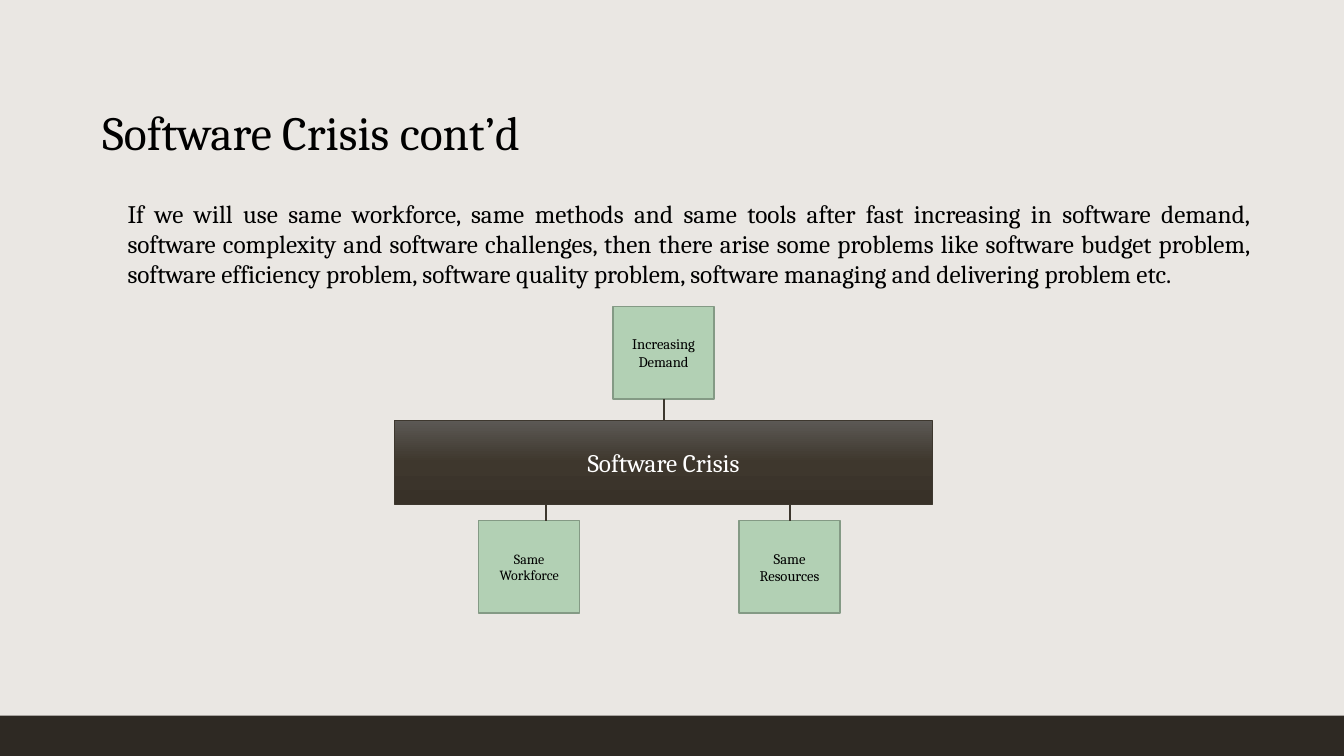
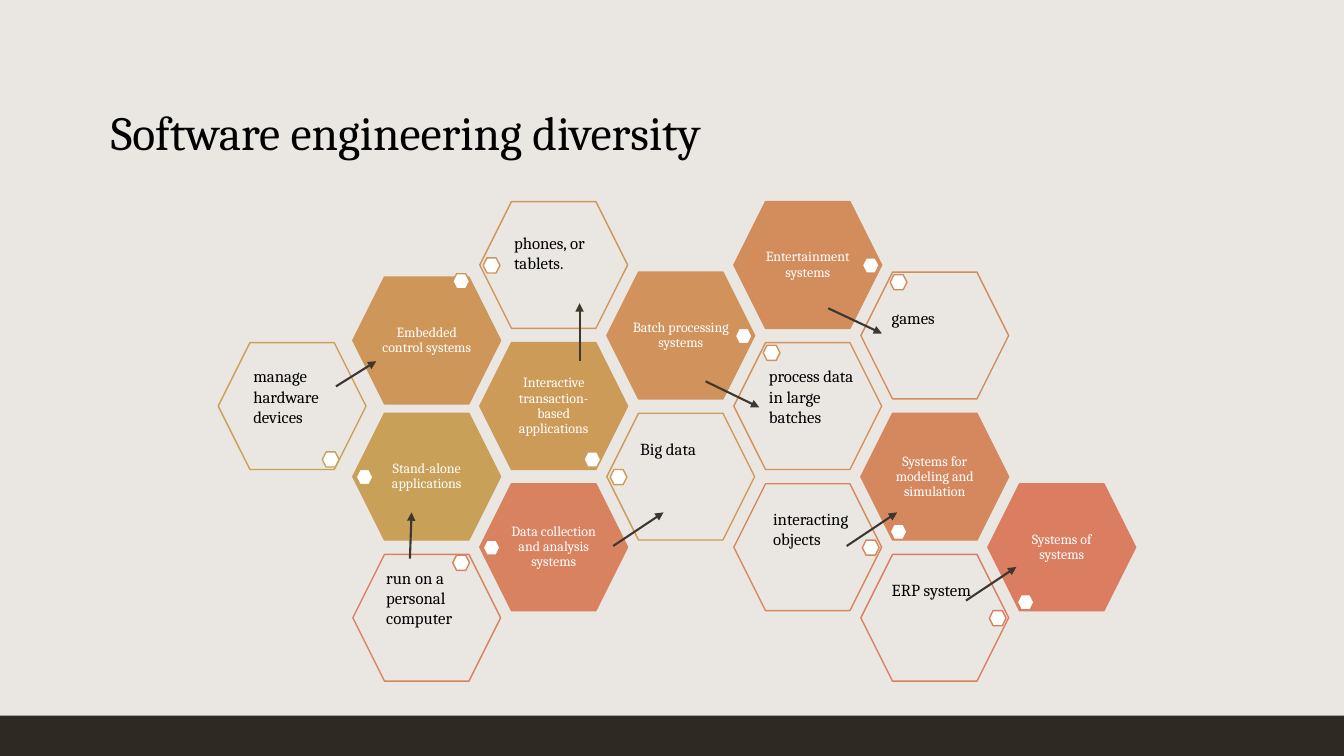
from copy import deepcopy

from pptx import Presentation
from pptx.dml.color import RGBColor
from pptx.enum.shapes import MSO_CONNECTOR, MSO_SHAPE
from pptx.enum.text import MSO_ANCHOR, MSO_AUTO_SIZE, PP_ALIGN
from pptx.oxml.ns import qn
from pptx.util import Emu, Inches, Pt
from lxml import etree

RECT, HEX = MSO_SHAPE.RECTANGLE, MSO_SHAPE.HEXAGON
STRAIGHT = MSO_CONNECTOR.STRAIGHT
LEFT, CENTER, FULL = PP_ALIGN.LEFT, PP_ALIGN.CENTER, PP_ALIGN.JUSTIFY
TOP, MIDDLE, BOTTOM = MSO_ANCHOR.TOP, MSO_ANCHOR.MIDDLE, MSO_ANCHOR.BOTTOM
FONT = "Cambria"

PAPER = RGBColor(0xEA, 0xE7, 0xE3)
BAND = RGBColor(0x2E, 0x29, 0x23)
INK = RGBColor(0x3D, 0x37, 0x2E)
BLACK = RGBColor(0, 0, 0)
WHITE = RGBColor(0xFF, 0xFF, 0xFF)
GREEN = RGBColor(0xB2, 0xD0, 0xB4)
MOSS = RGBColor(0x84, 0x9A, 0x85)
SHADES = [(0, RGBColor(0x5C, 0x59, 0x55)), (0.5, RGBColor(0x3E, 0x37, 0x2D)),
          (1, RGBColor(0x38, 0x31, 0x28))]
SAND = RGBColor(0xC9, 0xA0, 0x57)
GOLD = RGBColor(0xCC, 0x9B, 0x58)
OCHRE = RGBColor(0xCE, 0x97, 0x59)
AMBER = RGBColor(0xD1, 0x92, 0x5B)
COPPER = RGBColor(0xD3, 0x8D, 0x5C)
RUST = RGBColor(0xD5, 0x88, 0x5D)
CLAY = RGBColor(0xD8, 0x82, 0x5F)
CORAL = RGBColor(0xDA, 0x7D, 0x60)

# The page is a grid of 160 columns by 90 rows; all lengths count its cells
COLS, ROWS = 160, 90
CELL = Inches(7.5) // ROWS

# Honeycomb: start, step and size of its cells
COMB_X, COMB_Y = 42, 24
STEP_X, STEP_Y = 15.12, 8.4
HEX_W, HEX_H = 17.6, 15.1
DOT_W, DOT_H = 2, 1.8
DOTS = {"W": (0.4, 6.7), "E": (15.3, 6.7), "NW": (3.5, 0.3), "NE": (11.9, 0.1),
        "SW": (3.5, 13.2), "SE": (12.4, 13), "N": (11.9, -0.4)}

# Colour, then kind of system and its example: text, column, row, dot;
# the example ends with the offset of its text
PAIRS = [
    (SAND, ("Stand-alone applications", 0, 3, "W"),
     ("manage hardware devices", -1.06, 2, "SE", (3, 2.2))),
    (GOLD, ("Interactive transaction-based applications", 1, 2, "SE"),
     ("Big data", 2, 3, "W", (2.8, 2.4))),
    (OCHRE, ("Embedded control systems", 0, 1.07, "N"),
     ("phones, or tablets.", 1, 0, "W", (2.9, 3.1))),
    (AMBER, ("Batch processing systems", 2, 1, "E"),
     ("process data in large batches", 3, 2, "NW", (3, 2.2))),
    (COPPER, ("Entertainment systems", 3, 0, "E"),
     ("games", 4, 1, "NW", (2.5, 3.7))),
    (RUST, ("Systems for modeling and simulation", 4, 3, "SW"),
     ("interacting objects", 3, 4, "E", (3.5, 2.4))),
    (CLAY, ("Data collection and analysis systems", 1, 4, "W"),
     ("run on a personal computer", 0, 5, "NE", (2.8, 1))),
    (CORAL, ("Systems of systems", 5, 4, "SW"),
     ("ERP system", 4, 5, "E", (2.5, 2.4))),
]
ARROWS = [(40, 46, 44.8, 43), (48.8, 66.5, 49, 61), (69, 43, 69, 36.1),
          (73, 65, 79, 61), (100.8, 65, 106.8, 61), (115, 71.5, 121, 67.5),
          (84, 45.4, 90.4, 48.5), (98.6, 36.7, 105, 39.7)]

CLAIM = ("If we will use same workforce, same methods and same tools after fast "
         "increasing in software demand, software complexity and software "
         "challenges, then there arise some problems like software budget problem, "
         "software efficiency problem, software quality problem, software managing "
         "and delivering problem etc.")


def grid(*cells):
    return [Emu(round(n * CELL)) for n in cells]


def write(frame, text, size=12, color=BLACK, align=LEFT, anchor=TOP,
          space=None, inset=None):
    """Fill a text frame, one paragraph a line."""
    frame.word_wrap = True
    frame.auto_size = MSO_AUTO_SIZE.NONE
    frame.vertical_anchor = anchor
    if inset is not None:
        frame.margin_left = frame.margin_right = Inches(inset)
        frame.margin_top = frame.margin_bottom = Inches(inset)
    frame.text = text
    for para in frame.paragraphs:
        para.alignment = align
        para.line_spacing = space
        para.font.name = FONT
        para.font.size = Pt(size)
        para.font.color.rgb = color


def note(slide, text, *box, **style):
    write(slide.shapes.add_textbox(*grid(*box)).text_frame, text, **style)


def block(slide, kind, *box, fill=None, line=None, width=1):
    shape = slide.shapes.add_shape(kind, *grid(*box))
    shape.shadow.inherit = False
    if fill is None:
        shape.fill.background()
    else:
        shape.fill.solid()
        shape.fill.fore_color.rgb = fill
    if line is None:
        shape.line.fill.background()
    else:
        shape.line.color.rgb = line
        shape.line.width = Pt(width)
    return shape


def shade(shape):
    """Give a shape the dark fill that runs from top to bottom."""
    shape.fill.gradient()
    shape.fill.gradient_angle = 270
    stops = shape.element.find(".//" + qn("a:gsLst"))
    stops.insert(1, deepcopy(stops[0]))
    for stop, (place, color) in zip(shape.fill.gradient_stops, SHADES):
        stop.position = place
        stop.color.rgb = color


def link(slide, *ends, arrow=False):
    line = slide.shapes.add_connector(STRAIGHT, *grid(*ends))
    line.line.color.rgb = INK
    line.line.width = Pt(1.5)
    props = line.element.spPr
    if arrow:
        etree.SubElement(props.find(qn("a:ln")), qn("a:tailEnd"), type="triangle")
    etree.SubElement(props, qn("a:effectLst"))


def page(deck, title, left):
    slide = deck.slides.add_slide(deck.slide_layouts.get_by_name("Title Only"))
    head = slide.shapes.title
    head.left, head.top, head.width, head.height = grid(left, 4.8, 138, 15)
    write(head.text_frame, title, size=34, anchor=BOTTOM, space=0.9)
    return slide


def frame_deck(deck, slide):
    """Put the background and the foot band on the master."""
    master = deck.slide_master
    master.background.fill.solid()
    master.background.fill.fore_color.rgb = PAPER
    band = block(slide, RECT, 0, 85.2, COLS, ROWS - 85.2, fill=BAND)
    master.shapes.element.append(band.element)


def cause(slide, text, left, top, size=10.5):
    box = block(slide, RECT, left, top, 12, 11, fill=GREEN, line=MOSS)
    write(box.text_frame, text, size=size, align=CENTER, anchor=MIDDLE)


def comb(slide, color, col, row, dot, fill=None):
    """Draw a cell of the honeycomb with its dot."""
    x, y = COMB_X + col * STEP_X, COMB_Y + row * STEP_Y
    shape = block(slide, HEX, x, y, HEX_W, HEX_H, fill=fill, line=color)
    dx, dy = DOTS[dot]
    block(slide, HEX, x + dx, y + dy, DOT_W, DOT_H, fill=WHITE, line=color)
    return shape, x, y


def crisis(slide):
    note(slide, CLAIM, 14, 23, 136, 15.7, size=18, align=FULL)
    bar = block(slide, RECT, 47, 50, 64, 10, line=INK, width=0.5)
    shade(bar)
    write(bar.text_frame, "Software Crisis", size=18, color=WHITE,
          align=CENTER, anchor=MIDDLE)
    cause(slide, "Same\nWorkforce", 57, 62, size=10)
    cause(slide, "Same Resources", 88, 62)
    cause(slide, "Increasing Demand", 73, 36.5)
    for x, top, end in [(79, 47.5, 50), (65, 60, 62), (94, 60, 62)]:
        link(slide, x, top, x, end)


def kinds(slide):
    for color, (name, *spot), (text, *place, (dx, dy)) in PAIRS:
        shape, x, y = comb(slide, color, *spot, fill=color)
        write(shape.text_frame, name, size=10, color=WHITE, align=CENTER,
              anchor=MIDDLE, space=0.9, inset=0)
        shape, x, y = comb(slide, color, *place)
        note(slide, text, x + dx, y + dy, 13, 9)
    for ends in ARROWS:
        link(slide, *ends, arrow=True)


def main():
    deck = Presentation()
    deck.slide_width, deck.slide_height = grid(COLS, ROWS)
    first = page(deck, "Software Crisis cont’d", 11)
    frame_deck(deck, first)
    crisis(first)
    kinds(page(deck, "Software engineering diversity", 12))
    deck.save("out.pptx")


if __name__ == "__main__":
    main()
